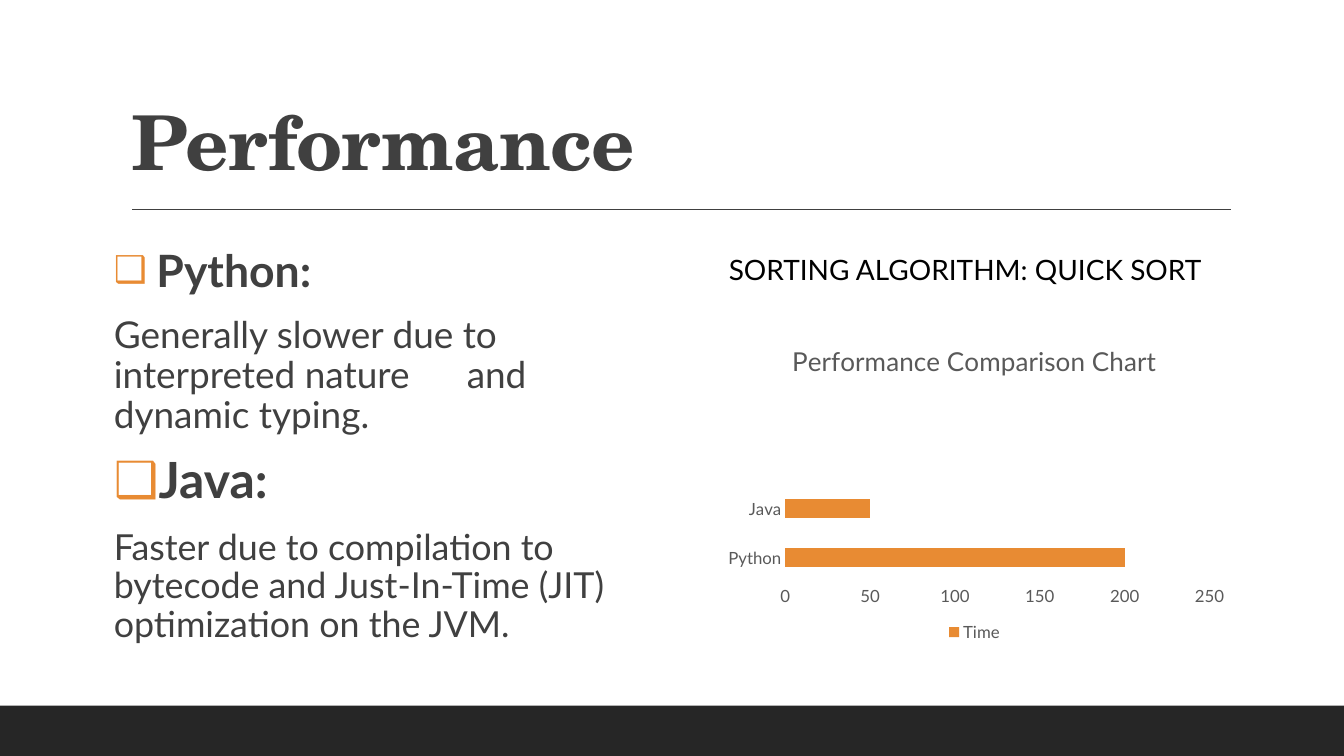
from lxml import etree
from pptx import Presentation
from pptx.chart.data import CategoryChartData
from pptx.dml.color import RGBColor
from pptx.enum.chart import XL_CHART_TYPE, XL_LEGEND_POSITION, XL_TICK_MARK
from pptx.enum.shapes import MSO_CONNECTOR, MSO_SHAPE
from pptx.enum.text import MSO_ANCHOR, MSO_AUTO_SIZE
from pptx.oxml import parse_xml
from pptx.oxml.ns import nsdecls, qn
from pptx.util import Inches, Pt

DARK = RGBColor(0x40, 0x40, 0x40)
FOOTER = RGBColor(0x26, 0x26, 0x26)
ORANGE = RGBColor(0xE8, 0x8B, 0x33)
GREY = RGBColor(0x59, 0x59, 0x59)
BLACK = RGBColor(0, 0, 0)
BODY_FONT = "Lato"
TITLE_FONT = "TeX Gyre Schola"

COLUMN_WIDTH = 5.07
LEFT_COLUMN, RIGHT_COLUMN = 1.13, 7.13

# Each paragraph: (has a bullet, [(text, size, bold), ...])
COMPARISON = [
    (True, [(" ", 26.4, False), ("Python:", 31.8, True)]),
    (False, [("Generally slower due to interpreted nature \tand dynamic typing.", 26.4, False)]),
    (True, [("Java:", 35.6, True), (" ", 34.1, False)]),
    (False, [("Faster due to compilation to bytecode and Just-In-Time (JIT) "
              "optimization on the JVM.", 25.6, False)]),
]


def inches(box):
    return [Inches(length) for length in box]


def format_font(font, size, color, name=BODY_FONT, bold=False):
    font.size, font.name, font.bold = Pt(size), name, bold
    font.color.rgb = color


def space_paragraph(paragraph, line_spacing):
    paragraph.line_spacing = line_spacing
    paragraph.space_before, paragraph.space_after = Pt(12), Pt(2)


def add_bullet(paragraph):
    properties = paragraph._p.get_or_add_pPr()
    properties.set("marL", str(Inches(0.1)))
    properties.set("indent", str(-Inches(0.1)))
    color = etree.SubElement(properties, qn("a:buClr"))
    etree.SubElement(color, qn("a:srgbClr")).set("val", str(ORANGE))
    etree.SubElement(properties, qn("a:buFont")).set("typeface", "Wingdings 2")
    properties[-1].set("typeface", "DejaVu Sans")
    etree.SubElement(properties, qn("a:buChar")).set("char", "❑")


def add_footer_band(slide, box):
    band = slide.shapes.add_shape(MSO_SHAPE.RECTANGLE, *inches(box))
    band.shadow.inherit = False
    band.fill.solid()
    band.fill.fore_color.rgb = FOOTER
    band.line.fill.background()


def add_heading(slide, box):
    """Place the title and the rule beneath it."""
    left, top, width, height = box
    title = slide.shapes.title
    title.left, title.top, title.width, title.height = inches(box)
    frame = title.text_frame
    frame.text = "Performance"
    frame.vertical_anchor = MSO_ANCHOR.BOTTOM
    frame.auto_size = MSO_AUTO_SIZE.NONE
    paragraph = frame.paragraphs[0]
    paragraph.line_spacing = 0.9
    paragraph._p.get_or_add_pPr().set("algn", "l")
    run = paragraph.runs[0]
    format_font(run.font, 54, DARK, TITLE_FONT, True)
    run._r.get_or_add_rPr().set("spc", "-50")

    rule_top = top + height + 0.18
    rule = slide.shapes.add_connector(
        MSO_CONNECTOR.STRAIGHT,
        *inches((left + 0.11, rule_top, left + width + 0.01, rule_top)))
    rule.line.color.rgb = DARK
    rule.line.width = Pt(1)
    etree.SubElement(rule._element.spPr, qn("a:effectLst"))


def add_comparison(slide, box):
    frame = slide.shapes.add_textbox(*inches(box)).text_frame
    frame.word_wrap = True
    frame.margin_left = frame.margin_right = 0
    for index, (bulleted, pieces) in enumerate(COMPARISON):
        paragraph = frame.add_paragraph() if index else frame.paragraphs[0]
        space_paragraph(paragraph, 0.9)
        if bulleted:
            add_bullet(paragraph)
        for text, size, bold in pieces:
            run = paragraph.add_run()
            run.text = text
            format_font(run.font, size, DARK, bold=bold)


def add_chart_caption(slide, box):
    frame = slide.shapes.add_textbox(*inches(box)).text_frame
    frame.word_wrap = True
    frame.vertical_anchor = MSO_ANCHOR.MIDDLE
    frame.text = "SORTING ALGORITHM: QUICK SORT"
    paragraph = frame.paragraphs[0]
    space_paragraph(paragraph, 1.1)
    format_font(paragraph.runs[0].font, 20, BLACK)


def set_plot_layout(chart, x, y, width, height):
    """Fix the inner plot area as shares of the chart."""
    plot_area = chart._chartSpace.chart.plotArea
    for layout in plot_area.findall(qn("c:layout")):
        plot_area.remove(layout)
    plot_area.insert(0, parse_xml(
        f'<c:layout {nsdecls("c")}><c:manualLayout><c:layoutTarget val="inner"/>'
        '<c:xMode val="edge"/><c:yMode val="edge"/>'
        f'<c:x val="{x}"/><c:y val="{y}"/><c:w val="{width}"/><c:h val="{height}"/>'
        '</c:manualLayout></c:layout>'))


def add_time_chart(slide, box):
    data = CategoryChartData()
    data.categories = ["Python", "Java", "", ""]
    data.add_series("Time", [200, 50, None, None])
    chart = slide.shapes.add_chart(XL_CHART_TYPE.BAR_STACKED, *inches(box), data).chart
    format_font(chart.font, 10, BLACK)

    chart.has_title = True
    title_frame = chart.chart_title.text_frame
    title_frame.text = "Performance Comparison Chart"
    format_font(title_frame.paragraphs[0].runs[0].font, 18.6, GREY)
    chart.chart_title.include_in_layout = False

    chart.has_legend = True
    chart.legend.position = XL_LEGEND_POSITION.BOTTOM
    chart.legend.include_in_layout = False
    format_font(chart.legend.font, 12, GREY)

    for axis in (chart.category_axis, chart.value_axis):
        axis.has_major_gridlines = False
        axis.major_tick_mark = axis.minor_tick_mark = XL_TICK_MARK.NONE
        axis.format.line.fill.background()
        format_font(axis.tick_labels.font, 12, GREY)
    chart.value_axis.minimum_scale = 0
    chart.value_axis.maximum_scale = 250
    chart.value_axis.major_unit = 50

    plot = chart.plots[0]
    plot.vary_by_categories = False
    plot.gap_width, plot.overlap = 150, 100
    fill = plot.series[0].format.fill
    fill.solid()
    fill.fore_color.rgb = ORANGE
    set_plot_layout(chart, 0.13, 0.19, 0.83, 0.61)


def main():
    presentation = Presentation()
    presentation.slide_width, presentation.slide_height = Inches(13.33), Inches(7.5)
    slide = presentation.slides.add_slide(presentation.slide_layouts[5])
    add_footer_band(slide, (0, 7, 13.33, 0.5))
    add_heading(slide, (1.2, 0.31, 11, 1.59))
    add_comparison(slide, (LEFT_COLUMN, 2.42, COLUMN_WIDTH, 4.28))
    add_chart_caption(slide, (RIGHT_COLUMN, 2.25, COLUMN_WIDTH, 0.81))
    add_time_chart(slide, (RIGHT_COLUMN, 3.23, COLUMN_WIDTH, 3.18))
    presentation.save("out.pptx")


if __name__ == "__main__":
    main()
